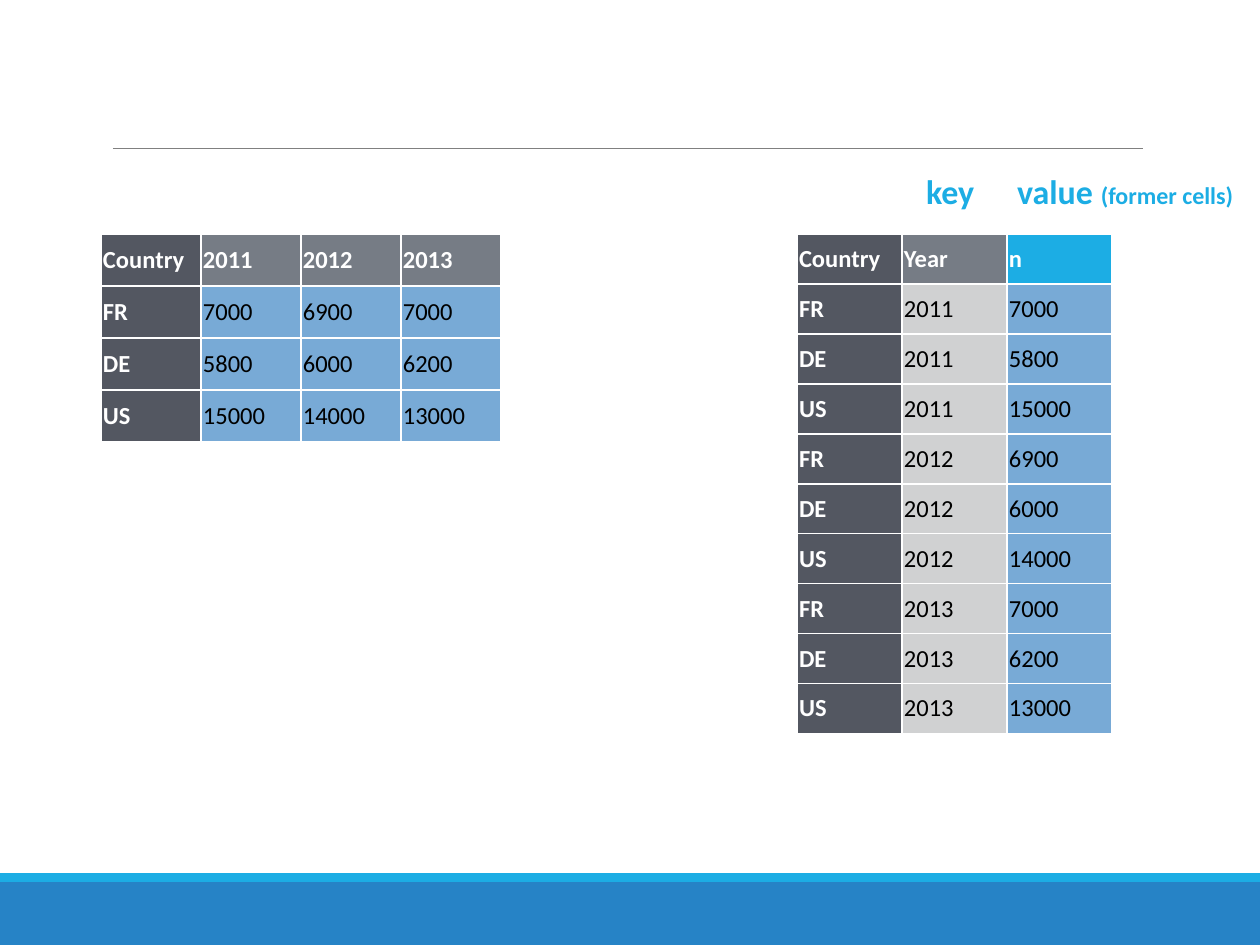
"""Build a slide that sets a wide table of yearly counts beside its long form."""
from lxml import etree
from pptx import Presentation
from pptx import util as u
from pptx.dml.color import RGBColor
from pptx.enum import shapes, text
from pptx.oxml import ns

COLORS = {
    "white": "FFFFFF", "black": "000000", "rule": "808080", "band": "2683C6",
    "accent": "1CADE4", "key": "535761", "head": "767C85", "year": "D0D1D2",
    "value": "78AAD6",
}
YEARS = ["2011", "2012", "2013"]
COUNTS = {
    "FR": ["7000", "6900", "7000"],
    "DE": ["5800", "6000", "6200"],
    "US": ["15000", "14000", "13000"],
}


class Deck:
    FONT = "Calibri"
    SCALE = 914400 / 126

    def __init__(self, width, height):
        self.prs = Presentation()
        self.prs.slide_width = self.px(width)
        self.prs.slide_height = self.px(height)
        self.s = self.prs.slides.add_slide(self.prs.slide_layouts[6])

    def px(self, n):
        return u.Emu(round(n * self.SCALE))

    def box(self, *at):
        return [self.px(n) for n in at]

    def color(self, name):
        return RGBColor.from_string(COLORS[name])

    def font(self, p, size, color, bold):
        p.font.name = self.FONT
        p.font.size = u.Pt(size)
        p.font.bold = bold
        p.font.color.rgb = self.color(color)

    def rect(self, x, y, w, h, fill):
        sp = self.s.shapes.add_shape(shapes.MSO_SHAPE.RECTANGLE, *self.box(x, y, w, h))
        sp.shadow.inherit = False
        sp.fill.solid()
        sp.fill.fore_color.rgb = self.color(fill)
        sp.line.fill.background()

    def line(self, x1, y1, x2, y2, color, width):
        sp = self.s.shapes.add_connector(
            shapes.MSO_CONNECTOR.STRAIGHT, *self.box(x1, y1, x2, y2))
        sp.line.color.rgb = self.color(color)
        sp.line.width = u.Pt(width)
        etree.SubElement(sp._element.spPr, ns.qn("a:effectLst"))

    def label(self, x, y, w, h, runs):
        tf = self.s.shapes.add_textbox(*self.box(x, y, w, h)).text_frame
        tf.word_wrap = True
        tf.vertical_anchor = text.MSO_ANCHOR.MIDDLE
        tf.margin_left = tf.margin_right = tf.margin_top = tf.margin_bottom = self.px(4)
        p = tf.paragraphs[0]
        p.line_spacing = 0.9
        self.font(p, runs[0][1], "accent", True)
        for words, size in runs:
            r = p.add_run()
            r.text = words
            r.font.size = u.Pt(size)

    def border(self, cell):
        tc_pr = cell._tc.get_or_add_tcPr()
        for i, side in enumerate(("lnL", "lnR", "lnT", "lnB")):
            ln = etree.Element(ns.qn(f"a:{side}"), w=str(u.Pt(1)))
            fill = etree.SubElement(ln, ns.qn("a:solidFill"))
            etree.SubElement(fill, ns.qn("a:srgbClr"), val=COLORS["white"])
            tc_pr.insert(i, ln)

    def table(self, x, y, col_w, row_h, rows, head_fills, body_fills):
        n, m = len(rows), len(rows[0])
        table = self.s.shapes.add_table(
            n, m, *self.box(x, y, col_w * m, row_h * n)).table
        for col in table.columns:
            col.width = self.px(col_w)
        for i, row in enumerate(rows):
            table.rows[i].height = self.px(row_h)
            for j, value in enumerate(row):
                cell = table.cell(i, j)
                cell.text = value
                cell.vertical_anchor = text.MSO_ANCHOR.MIDDLE
                cell.margin_left = cell.margin_right = self.px(2)
                cell.margin_top = cell.margin_bottom = self.px(2)
                cell.fill.solid()
                cell.fill.fore_color.rgb = self.color((body_fills if i else head_fills)[j])
                self.border(cell)
                p = cell.text_frame.paragraphs[0]
                p.alignment = text.PP_ALIGN.LEFT
                title = i == 0 or j == 0
                self.font(p, 14, "white" if title else "black", title)


def main():
    deck = Deck(1260, 945)
    deck.rect(0, 882, 1260, 63, "band")
    deck.rect(0, 873, 1260, 9, "accent")
    deck.line(113, 148, 1143, 148, "rule", 0.5)

    wide = [["Country", *YEARS]] + [[name, *counts] for name, counts in COUNTS.items()]
    deck.table(101, 234, 100, 52, wide,
               ["key"] + ["head"] * 3, ["key"] + ["value"] * 3)

    long = [["Country", "Year", "n"]] + [
        [name, year, counts[i]]
        for i, year in enumerate(YEARS) for name, counts in COUNTS.items()]
    deck.table(797, 234, 105, 50, long,
               ["key", "head", "accent"], ["key", "year", "value"])

    deck.label(922, 170, 334, 47, [("key", 19.4)])
    deck.label(1013, 170, 334, 47, [("value ", 19.4), ("(former cells)", 13.7)])
    deck.prs.save("out.pptx")


if __name__ == "__main__":
    main()
